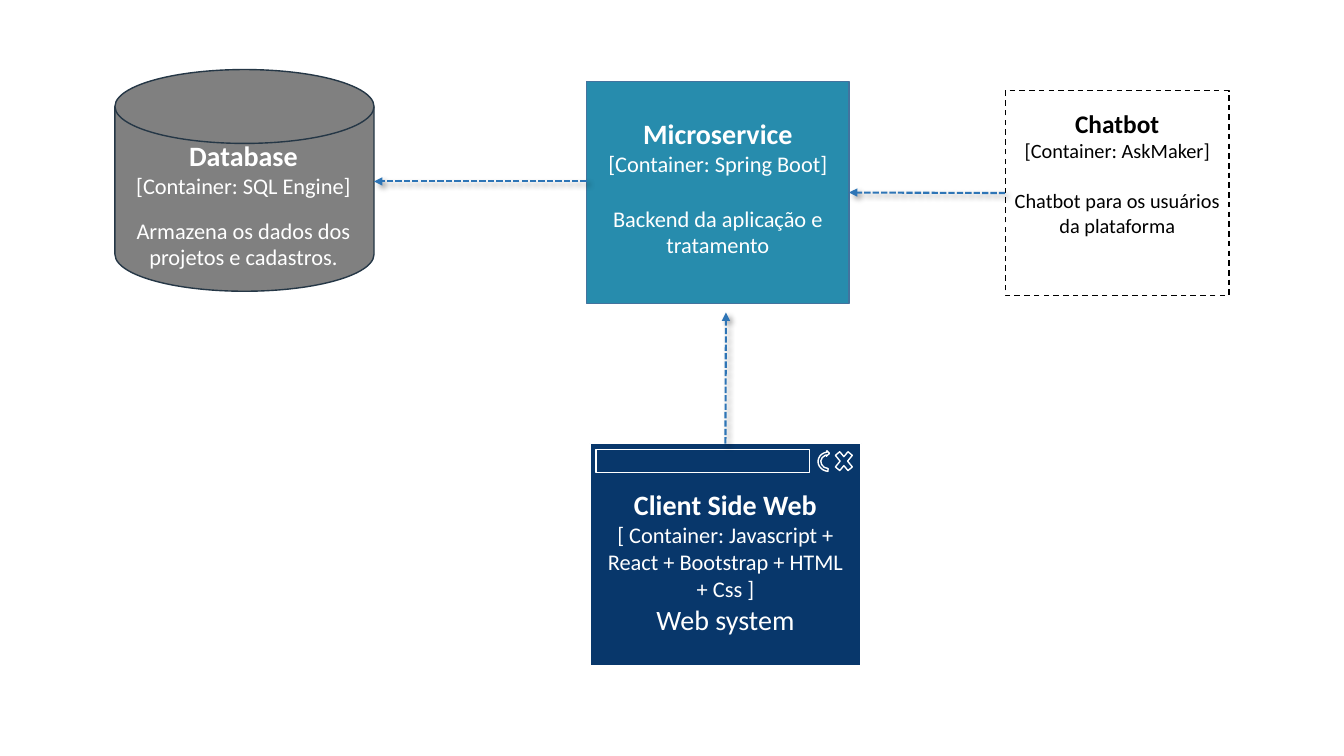
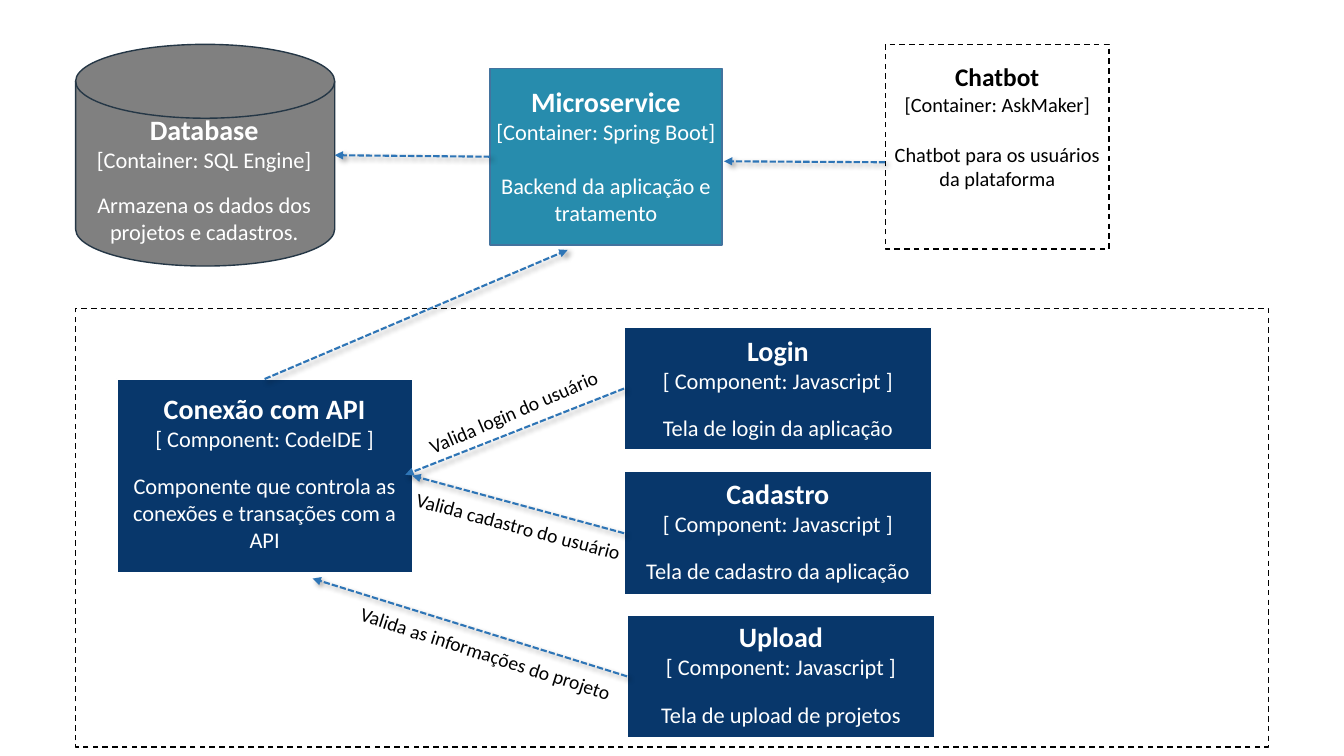
from math import cos, radians, sin

from lxml.etree import SubElement, fromstring
from pptx import Presentation
from pptx.dml.color import RGBColor
from pptx.enum.dml import MSO_LINE
from pptx.enum.shapes import MSO_CONNECTOR, MSO_SHAPE
from pptx.enum.text import MSO_ANCHOR, PP_ALIGN
from pptx.oxml.ns import nsdecls, qn
from pptx.util import Inches, Pt

FONT = "Calibri"
WHITE = RGBColor(0xFF, 0xFF, 0xFF)
BLACK = RGBColor(0x00, 0x00, 0x00)
GRAY = RGBColor(0x80, 0x80, 0x80)
SLATE = RGBColor(0x25, 0x37, 0x46)
TEAL = RGBColor(0x27, 0x8C, 0xAD)
STEEL = RGBColor(0x43, 0x73, 0x9E)
NAVY = RGBColor(0x08, 0x37, 0x6B)
BLUE = RGBColor(0x2E, 0x75, 0xB6)

# fill, line, dashed, text colour, three text sizes, gap before the last text, side margin
STYLES = {
    "service": (TEAL, STEEL, False, WHITE, (20, 16, 16), 19.5, 0.05),
    "part": (NAVY, WHITE, False, WHITE, (20, 16, 16), 14.5, 0.12),
    "client": (NAVY, WHITE, False, WHITE, (20, 16, 20), 0, 0.12),
    "bot": (WHITE, BLACK, True, BLACK, (18.1, 14.5, 14.5), 18.5, 0.05),
}
DATA = ("Database", "[Container: SQL Engine]",
        "Armazena os dados dos projetos e cadastros.")
MICRO = ("Microservice", "[Container: Spring Boot]",
         "Backend da aplicação e tratamento")
BOT = ("Chatbot", "[Container: AskMaker]",
       "Chatbot para os usuários da plataforma")
SCRIPT = "[ Component: Javascript ]"

# Boxes: name, style, place, top margin, texts
# Arrows: start, end; each a point or a box name with a side
SLIDES = [
    {
        "disk": (1.14, 0.69),
        "boxes": [
            ("micro", "service", (5.82, 0.81, 2.6, 2.2), 0.35, MICRO),
            ("web", "client", (5.85, 4.4, 2.69, 2.2), 0.44,
             ("Client Side Web",
              "[ Container: Javascript + React + Bootstrap + HTML + Css ]",
              "Web system")),
            ("bot", "bot", (9.97, 0.9, 2.22, 2.03), 0.17, BOT),
        ],
        "icons": [
            (MSO_SHAPE.RECTANGLE, (5.91, 4.46, 2.12, 0.23), 0),
            (MSO_SHAPE.MATH_MULTIPLY, (8.25, 4.43, 0.24, 0.29), 0),
            (MSO_SHAPE.CIRCULAR_ARROW, (8.11, 4.46, 0.22, 0.24), 275),
        ],
        "arrows": [
            (("web", 0), (7.2, 3.1)),
            ((5.82, 1.8), (3.71, 1.8)),
            (("bot", 1), ("micro", 3)),
        ],
    },
    {
        "frame": (0.75, 3.06, 11.83, 4.35),
        "disk": (0.75, 0.44),
        "boxes": [
            ("micro", "service", (4.86, 0.68, 2.3, 1.75), 0.16, MICRO),
            ("api", "part", (1.16, 3.76, 2.93, 1.92), 0.12,
             ("Conexão com API", "[ Component: CodeIDE ]",
              "Componente que controla as conexões e transações com a API")),
            ("login", "part", (6.19, 3.25, 3.05, 1.21), 0.06,
             ("Login", SCRIPT, "Tela de login da aplicação")),
            ("signup", "part", (6.19, 4.68, 3.05, 1.22), 0.05,
             ("Cadastro", SCRIPT, "Tela de cadastro da aplicação")),
            ("upload", "part", (6.22, 6.1, 3.05, 1.22), 0.05,
             ("Upload", SCRIPT, "Tela de upload de projetos")),
            ("bot", "bot", (8.78, 0.44, 2.22, 2.03), 0.17, BOT),
        ],
        "arrows": [
            (("api", 0), (5.63, 2.48)),
            (("micro", 1), (3.32, 1.54)),
            (("login", 1), (4.02, 4.71)),
            (("signup", 1), ("api", 3)),
            ((8.78, 1.61), (7.18, 1.6)),
            (("upload", 1), (3.1, 5.74)),
        ],
        # text, middle of the left edge, angle
        "labels": [
            ("Valida login do usuário", (4.18, 4.48), -23.4),
            ("Valida cadastro do usuário", (4.04, 4.93), 14.9),
            ("Valida as informações do projeto", (3.49, 6.06), 17.8),
        ],
    },
]


def add_form(slide, kind, at, fill, line, dashed=False):
    form = slide.shapes.add_shape(kind, *map(Inches, at))
    form.shadow.inherit = False
    if fill is None:
        form.fill.background()
    else:
        form.fill.solid()
        form.fill.fore_color.rgb = fill
    form.line.color.rgb = line
    form.line.width = Pt(1)
    if dashed:
        form.line.dash_style = MSO_LINE.DASH
    return form


def write(shape, texts, sizes, color, gap=0, side=0.1, top=0.05, align=PP_ALIGN.CENTER):
    """Fill a shape with paragraphs: a bold head if there are several, a gap before the last."""
    frame = shape.text_frame
    frame.word_wrap = True
    frame.vertical_anchor = MSO_ANCHOR.TOP
    frame.margin_left = frame.margin_right = Inches(side)
    frame.margin_top = Inches(top)
    frame.margin_bottom = 0
    for i, (text, size) in enumerate(zip(texts, sizes)):
        para = frame.paragraphs[0] if i == 0 else frame.add_paragraph()
        para.text = text
        para.alignment = align
        font = para.font
        font.name, font.size, font.color.rgb = FONT, Pt(size), color
        font.bold = i == 0 and len(texts) > 1
        if i == 2:
            para.space_before = Pt(gap)


def add_disk(slide, left, top):
    add_form(slide, MSO_SHAPE.FLOWCHART_MAGNETIC_DISK, (left, top, 2.57, 2.2), GRAY, SLATE)
    place = (left - 0.13, top + 0.63, 2.81, 1.45)
    write(slide.shapes.add_textbox(*map(Inches, place)), DATA, (20, 16, 16), WHITE, 13)


def add_box(slide, style, at, top, texts):
    fill, line, dashed, color, sizes, gap, side = STYLES[style]
    box = add_form(slide, MSO_SHAPE.RECTANGLE, at, fill, line, dashed)
    write(box, texts, sizes, color, gap, side, top)
    return box


def add_arrow(slide, boxes, start, end):
    link = slide.shapes.add_connector(MSO_CONNECTOR.STRAIGHT, 0, 0, 0, 0)
    if start[0] in boxes:
        link.begin_connect(boxes[start[0]], start[1])
    else:
        link.begin_x, link.begin_y = map(Inches, start)
    if end[0] in boxes:
        link.end_connect(boxes[end[0]], end[1])
    else:
        link.end_x, link.end_y = map(Inches, end)
    link.line.color.rgb = BLUE
    link.line.width = Pt(1.5)
    link.line.dash_style = MSO_LINE.SQUARE_DOT
    props = link.element.spPr
    SubElement(props.find(qn("a:ln")), qn("a:tailEnd"), type="triangle")
    props.append(fromstring(
        f'<a:effectLst {nsdecls("a")}>'
        '<a:outerShdw blurRad="50800" dist="38100" dir="2700000" algn="tl" rotWithShape="0">'
        '<a:srgbClr val="000000"><a:alpha val="40000"/></a:srgbClr>'
        '</a:outerShdw></a:effectLst>'))


def add_label(slide, text, start, angle):
    """Place a turned text so that its left edge is centred on start."""
    wide, high = 3, 0.34
    turn = radians(angle)
    left = start[0] + wide / 2 * cos(turn) - wide / 2
    top = start[1] + wide / 2 * sin(turn) - high / 2
    label = slide.shapes.add_textbox(*map(Inches, (left, top, wide, high)))
    label.rotation = angle
    write(label, [text], [14], BLACK, align=PP_ALIGN.LEFT)


def main():
    deck = Presentation()
    deck.slide_width, deck.slide_height = Inches(13.33), Inches(7.5)
    for data in SLIDES:
        slide = deck.slides.add_slide(deck.slide_layouts[6])
        if "frame" in data:
            add_form(slide, MSO_SHAPE.RECTANGLE, data["frame"], WHITE, BLACK, True)
        add_disk(slide, *data["disk"])
        boxes = {name: add_box(slide, *rest) for name, *rest in data["boxes"]}
        for kind, at, angle in data.get("icons", []):
            add_form(slide, kind, at, None, WHITE).rotation = angle
        for start, end in data["arrows"]:
            add_arrow(slide, boxes, start, end)
        for label in data.get("labels", []):
            add_label(slide, *label)
    deck.save("out.pptx")


if __name__ == "__main__":
    main()
